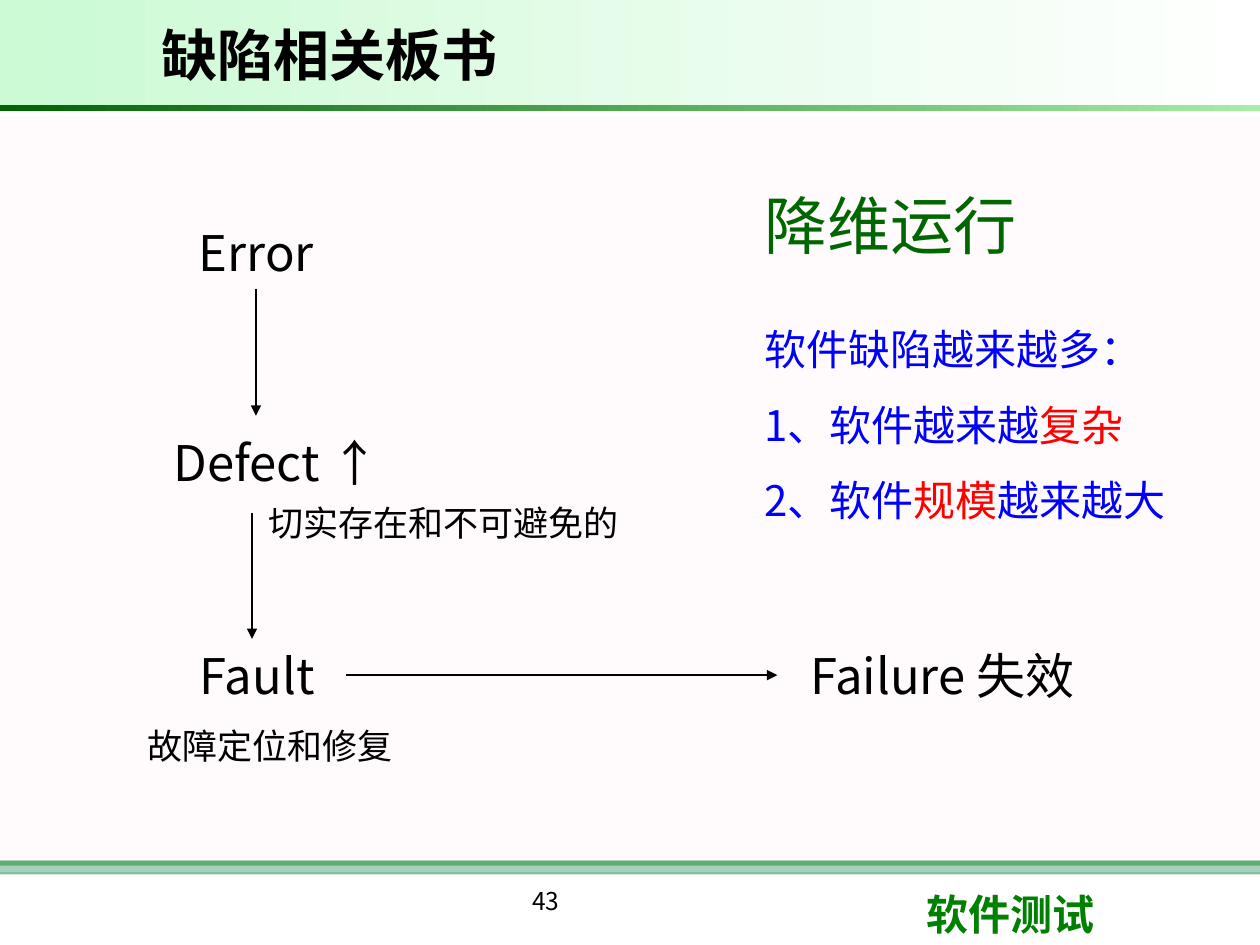
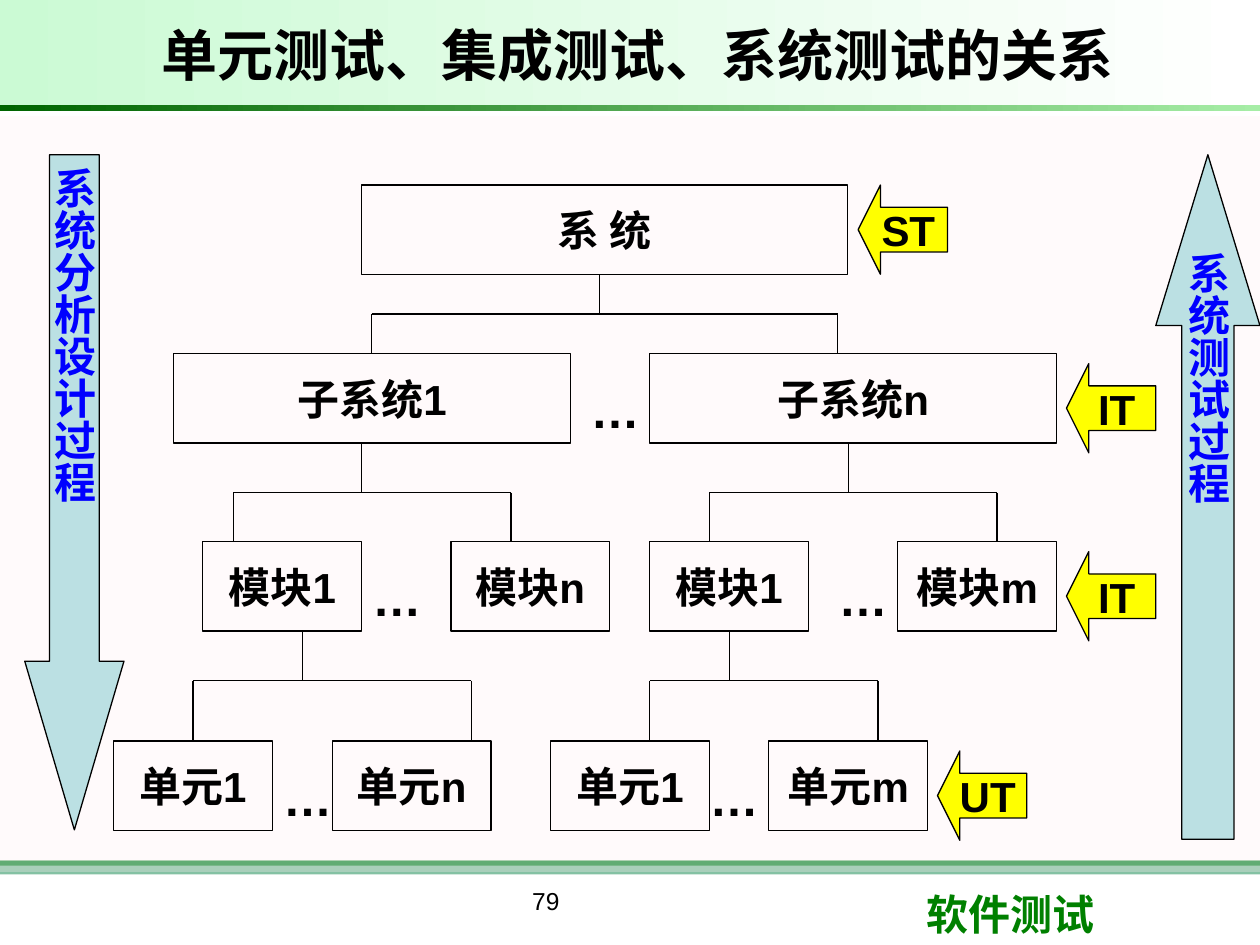
from pptx import Presentation
from pptx.dml.color import RGBColor
from pptx.enum.shapes import MSO_CONNECTOR, MSO_SHAPE
from pptx.enum.text import MSO_ANCHOR, PP_ALIGN
from pptx.oxml.ns import qn
from pptx.util import Cm, Pt
from lxml import etree

RECT = MSO_SHAPE.RECTANGLE
LEFT, DOWN, UP = MSO_SHAPE.LEFT_ARROW, MSO_SHAPE.DOWN_ARROW, MSO_SHAPE.UP_ARROW
STRAIGHT = MSO_CONNECTOR.STRAIGHT
MIDDLE, CENTER = MSO_ANCHOR.MIDDLE, PP_ALIGN.CENTER
rgb = RGBColor.from_string

NOTO, ARIAL = "Noto Sans CJK SC", "Arial"
BLACK, BLUE, RED = "000000", "0000FF", "FF0000"
GREEN, DARK, YELLOW, AQUA = "008000", "006600", "FFFF00", "BBE0E3"


def add(page, kind, place, fill=None, edge=None, alpha=100):
    """Add a preset shape; fill is one colour, or a pair for a gradient."""
    shape = page.shapes.add_shape(kind, *map(Cm, place))
    shape.shadow.inherit = False
    if isinstance(fill, tuple):
        shape.fill.gradient()
        shape.fill.gradient_angle = 0
        for stop, hue in zip(shape.fill.gradient_stops, fill):
            stop.color.rgb = rgb(hue)
    elif fill:
        shape.fill.solid()
        shape.fill.fore_color.rgb = rgb(fill)
        if alpha < 100:
            clr = shape._element.spPr.find(".//" + qn("a:srgbClr"))
            etree.SubElement(clr, qn("a:alpha"), val=str(alpha * 1000))
    else:
        shape.fill.background()
    if edge:
        shape.line.color.rgb = rgb(edge)
        shape.line.width = Pt(0.75)
    else:
        shape.line.fill.background()
    return shape


def write(shape, rows, size, face, hue=BLACK, bold=False, align=None,
          anchor=None, wrap=True, space=None):
    """Fill a shape with rows; a row is a string or a list of (text, colour)."""
    frame = shape.text_frame
    frame.word_wrap = wrap
    if anchor is not None:
        frame.vertical_anchor = anchor
    for i, row in enumerate(rows):
        para = frame.add_paragraph() if i else frame.paragraphs[0]
        para.alignment = align
        para.line_spacing = space
        for text, tint in [(row, hue)] if isinstance(row, str) else row:
            run = para.add_run()
            run.text = text
            run.font.size = Pt(size)
            run.font.bold = bold
            run.font.color.rgb = rgb(tint)
            run.font.name = face
            etree.SubElement(run._r.get_or_add_rPr(), qn("a:ea"), typeface=NOTO)


deck = Presentation()
deck.slide_width, deck.slide_height = Cm(25.4), Cm(19.05)

# Shared bands, title, page number and footer
pages = []
for title, number, face in [("缺陷相关板书", "43", NOTO),
                            ("单元测试、集成测试、系统测试的关系", "79", ARIAL)]:
    page = deck.slides.add_slide(deck.slide_layouts[6])
    for place, fill, alpha in [
        ((0, 17.35, 25.4, 0.1), GREEN, 100),
        ((0, 17.35, 25.4, 0.28), "339966", 60),
        ((0, 2.34, 25.4, 15.24), "FFF0F5", 30),
        ((0, 0, 25.4, 2.11), ("CBFAD4", "FFFFFF"), 100),
        ((0, 2.11, 25.4, 0.13), ("006400", "A6EDA6"), 100),
    ]:
        add(page, RECT, place, fill, alpha=alpha)
    for place, text, size, font, hue, bold, align, anchor in [
        ((18.42, 17.78, 6.02, 1.27), "软件测试", 24, ARIAL, GREEN, True, None, None),
        ((3, 0.2, 21.34, 1.8), title, 32, face, BLACK, True, None, MIDDLE),
        ((6.98, 17.73, 8.05, 1.32), number, 14, face, BLACK, False, CENTER, None),
    ]:
        box = page.shapes.add_textbox(*map(Cm, place))
        write(box, [text], size, font, hue, bold, align, anchor)
    pages.append(page)
board, tree = pages

# Board: from error to failure
for place, rows, size, hue, space in [
    ((3.76, 4.37, 5.5, 1.44), ["Error"], 28, BLACK, None),
    ((3.25, 8.59, 5.5, 1.44), ["Defect ↑"], 28, BLACK, None),
    ((16.08, 12.88, 7.42, 1.44), ["Failure 失效"], 28, BLACK, None),
    ((3.78, 12.88, 5.5, 1.44), ["Fault"], 28, BLACK, None),
    ((2.72, 14.48, 6.55, 1.12), ["故障定位和修复"], 20, BLACK, None),
    ((5.16, 9.98, 8.69, 1.12), ["切实存在和不可避免的"], 20, BLACK, None),
    ((15.16, 3.63, 5.66, 1.8), ["降维运行"], 36, DARK, None),
    ((15.16, 5.89, 8.71, 4.7), [
        "软件缺陷越来越多：",
        [("1、软件越来越", BLUE), ("复杂", RED)],
        [("2、软件", BLUE), ("规模", RED), ("越来越大", BLUE)],
    ], 24, BLUE, 1.5),
]:
    box = board.shapes.add_textbox(*map(Cm, place))
    write(box, rows, size, NOTO, hue, space=space)

lines = [(board, ends, True) for ends in [
    (5.16, 5.82, 5.16, 8.38), (5.08, 10.34, 5.08, 12.88),
    (6.98, 13.61, 15.67, 13.61)]]

# Tree: each level has its top, boxes, dots and test tag
tall = 1.8
levels = [
    (3.73, [("系 统", 7.29, 9.8)], [], ("ST", 17.3, 0)),
    (7.13, [("子系统1", 3.5, 8), ("子系统n", 13.1, 8.2)], [11.1], ("IT", 21.5, 0.2)),
    (10.92, [("模块1", 4.09, 3.2), ("模块n", 9.09, 3.2),
             ("模块1", 13.1, 3.2), ("模块m", 18.1, 3.2)],
     [6.7, 16.1], ("IT", 21.5, 0.2)),
    (14.94, [("单元1", 2.29, 3.2), ("单元n", 6.7, 3.2),
             ("单元1", 11.1, 3.2), ("单元m", 15.5, 3.2)],
     [4.9, 13.5], ("UT", 18.9, 0.2)),
]
for top, nodes, dots, (tag, x, drop) in levels:
    for text, left, width in nodes:
        node = add(tree, RECT, (left, top, width, tall), edge=BLACK)
        write(node, [text], 24, ARIAL, BLACK, True, CENTER, MIDDLE, False)
    for left in dots:
        box = tree.shapes.add_textbox(*map(Cm, (left, top + 0.4, 2.6, 1.44)))
        write(box, ["…"], 28, ARIAL, BLACK, True, CENTER)
    arrow = add(tree, LEFT, (x, top + drop, tall, tall), YELLOW, BLACK)
    arrow.adjustments[0], arrow.adjustments[1] = 0.5, 0.25
    write(arrow, [tag], 24, ARIAL, BLACK, True, CENTER, MIDDLE, False)

# Branches: parent level, height of the bar, then stem, left and right
for rank, bar, forks in [
    (0, 6.33, [(12.09, 7.49, 16.89)]),
    (1, 9.93, [(7.29, 4.7, 10.3), (17.1, 14.3, 20.1)]),
    (2, 13.72, [(6.1, 3.89, 9.5), (14.7, 13.1, 17.7)]),
]:
    base, floor = levels[rank][0] + tall, levels[rank + 1][0]
    for stem, left, right in forks:
        lines += [(tree, ends, False) for ends in [
            (stem, base, stem, bar), (left, bar, right, bar),
            (left, bar, left, floor), (right, bar, right, floor)]]

for kind, place, head, text in [
    (DOWN, (0.5, 3.12, 2, 13.61), 1.7, "系统分析设计过程"),
    (UP, (23.3, 3.12, 2.1, 13.8), 1.64, "系统测试过程"),
]:
    arrow = add(tree, kind, place, AQUA, BLACK)
    arrow.adjustments[0], arrow.adjustments[1] = 0.5, head
    write(arrow, [text], 24, ARIAL, BLUE, True, CENTER, MIDDLE, False)
    arrow.text_frame._txBody.bodyPr.set("vert", "eaVert")

# Lines of both slides
for page, ends, head in lines:
    line = page.shapes.add_connector(STRAIGHT, *map(Cm, ends))
    line.line.color.rgb = rgb(BLACK)
    line.line.width = Pt(0.75)
    if head:
        etree.SubElement(line.line._get_or_add_ln(), qn("a:tailEnd"), type="triangle")
    etree.SubElement(line._element.spPr, qn("a:effectLst"))

deck.save("out.pptx")
